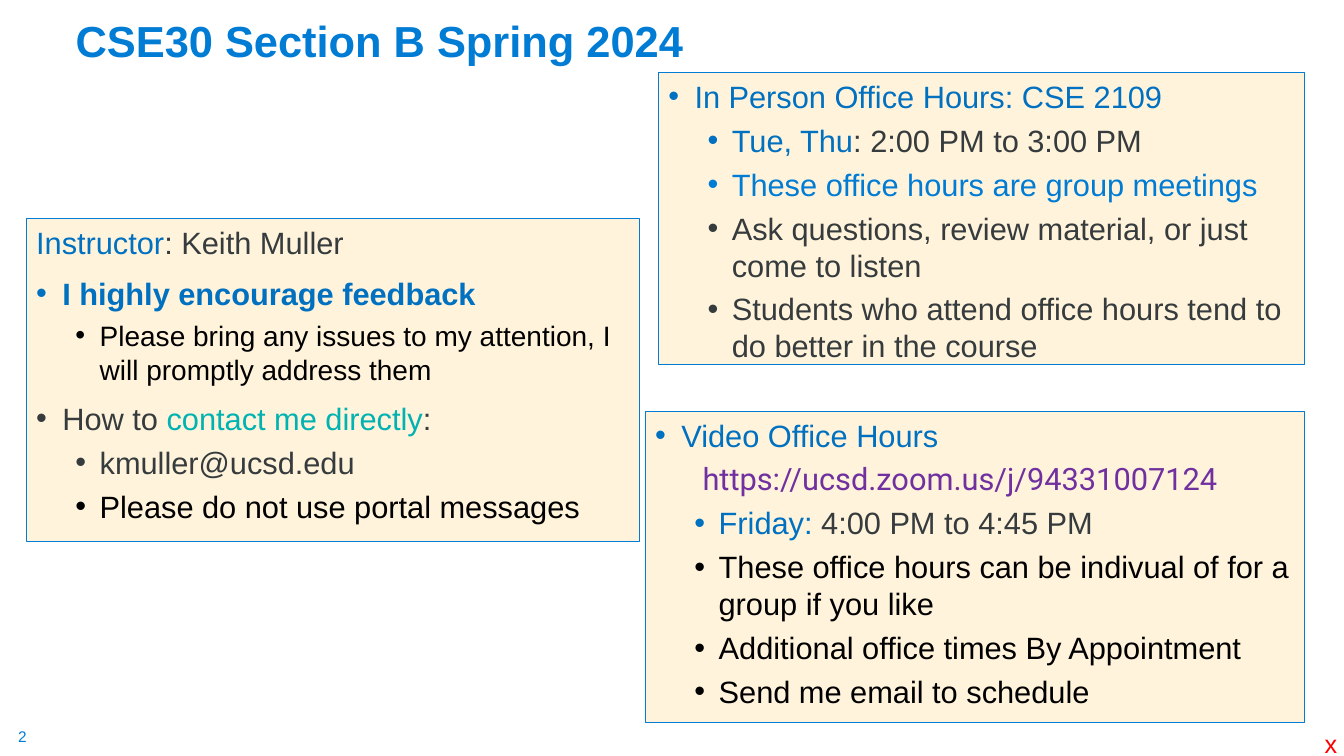
from lxml.etree import SubElement
from pptx import Presentation
from pptx.dml.color import RGBColor
from pptx.enum.shapes import MSO_SHAPE as Shape
from pptx.enum.text import MSO_ANCHOR as Anchor, MSO_AUTO_SIZE as AutoSize, PP_ALIGN as Align
from pptx.oxml.ns import qn
from pptx.util import Inches, Pt

COLORS = {
    "sky": "007CD5", "blue": "0070C0", "ink": "363B3E", "black": "000000",
    "purple": "7030A0", "teal": "00B2B1", "red": "FF0000", "cream": "FFF4DB",
}
LEVELS = {
    "plain": (0, 0, 0, 10),
    "topic": (0, 0.26, -0.26, 10),
    "detail": (1, 0.63, -0.24, 5),
    "link": (1, 0.47, 0, 5),
}


def style(run, size, color, bold=False, face="Arial"):
    run.font.name = face
    run.font.size = Pt(size)
    run.font.bold = bold
    run.font.color.rgb = RGBColor.from_string(COLORS[color])


def set_level(paragraph, level, first):
    depth, margin, indent, before = LEVELS[level]
    paragraph.level = depth
    props = paragraph._p.get_or_add_pPr()
    props.set("marL", str(Inches(margin)))
    props.set("indent", str(Inches(indent)))
    if indent:
        SubElement(props, qn("a:buFont"), typeface="Arial")
        SubElement(props, qn("a:buChar"), char="•")
    paragraph.alignment = Align.LEFT
    paragraph.line_spacing = 1.0
    paragraph.space_before = Pt(0 if first else before)


deck = Presentation()
deck.slide_width, deck.slide_height = Inches(13.33), Inches(7.5)
slide = deck.slides.add_slide(deck.slide_layouts[5])

title = slide.shapes.title
title.left, title.top, title.width, title.height = map(Inches, (0.65, 0.14, 11.5, 0.57))
title.text_frame.text = "CSE30 Section B Spring 2024"
title.text_frame.vertical_anchor = Anchor.BOTTOM
title.text_frame.auto_size = AutoSize.NONE
title.text_frame.paragraphs[0].alignment = Align.LEFT
style(title.text_frame.paragraphs[0].runs[0], 31, "sky", True)

video_hours = [
    ("topic", 22, [("Video Office Hours", "blue")]),
    ("link", 22, [("https://ucsd.zoom.us/j/94331007124", "purple")]),
    ("detail", 22, [("Friday: ", "blue"), ("4:00 PM to 4:45 PM", "ink")]),
    ("detail", 22, [("These office hours can be indivual of for a group if you like", "black")]),
    ("detail", 22, [("Additional office times By Appointment", "black")]),
    ("detail", 22, [("Send me email to schedule", "black")]),
]
instructor = [
    ("plain", 22, [("Instructor", "blue"), (": Keith Muller", "ink")]),
    ("topic", 22, [("I highly encourage feedback", "blue", True)]),
    ("detail", 20, [("Please bring any issues to my attention, I will promptly address them", "black")]),
    ("topic", 22, [("How to ", "ink"), ("contact me directly", "teal"), (":", "ink")]),
    ("detail", 22, [("kmuller@ucsd.edu", "ink")]),
    ("detail", 22, [("Please do not use portal messages", "black")]),
]
in_person_hours = [
    ("topic", 22, [("In Person Office Hours: CSE 2109", "blue")]),
    ("detail", 22, [("Tue, Thu", "blue"), (": 2:00 PM to 3:00 PM", "ink")]),
    ("detail", 22, [("These office hours are group meetings", "sky")]),
    ("detail", 22, [("Ask questions, review material, or just come to listen", "ink")]),
    ("detail", 22, [("Students who attend office hours tend to do better in the course", "ink")]),
]
panels = [
    ((6.4, 4.08, 6.54, 3.09), video_hours),
    ((0.26, 2.17, 6.08, 3.2), instructor),
    ((6.53, 0.72, 6.41, 2.9), in_person_hours),
]

for place, entries in panels:
    panel = slide.shapes.add_shape(Shape.RECTANGLE, *map(Inches, place))
    panel.shadow.inherit = False
    panel.fill.solid()
    panel.fill.fore_color.rgb = RGBColor.from_string(COLORS["cream"])
    panel.line.color.rgb = RGBColor.from_string(COLORS["sky"])
    panel.line.width = Pt(0.75)
    frame = panel.text_frame
    frame.word_wrap = True
    frame.vertical_anchor = Anchor.TOP
    for row, (level, size, parts) in enumerate(entries):
        paragraph = frame.add_paragraph() if row else frame.paragraphs[0]
        set_level(paragraph, level, row == 0)
        for words, *look in parts:
            run = paragraph.add_run()
            run.text = words
            style(run, size, *look, face="Roboto" if level == "link" else "Arial")

corner_marks = [
    ("2", (0.18, 7.21, 0.19, 0.19), 11, "sky", (0, 0)),
    ("x", (13.04, 7.18, 0.33, 0.4), 18, "red", (0.1, 0.05)),
]
for words, place, size, color, (side, edge) in corner_marks:
    mark = slide.shapes.add_textbox(*map(Inches, place)).text_frame
    mark.margin_left = mark.margin_right = Inches(side)
    mark.margin_top = mark.margin_bottom = Inches(edge)
    mark.word_wrap = False
    mark.text = words
    style(mark.paragraphs[0].runs[0], size, color)

deck.save("out.pptx")
